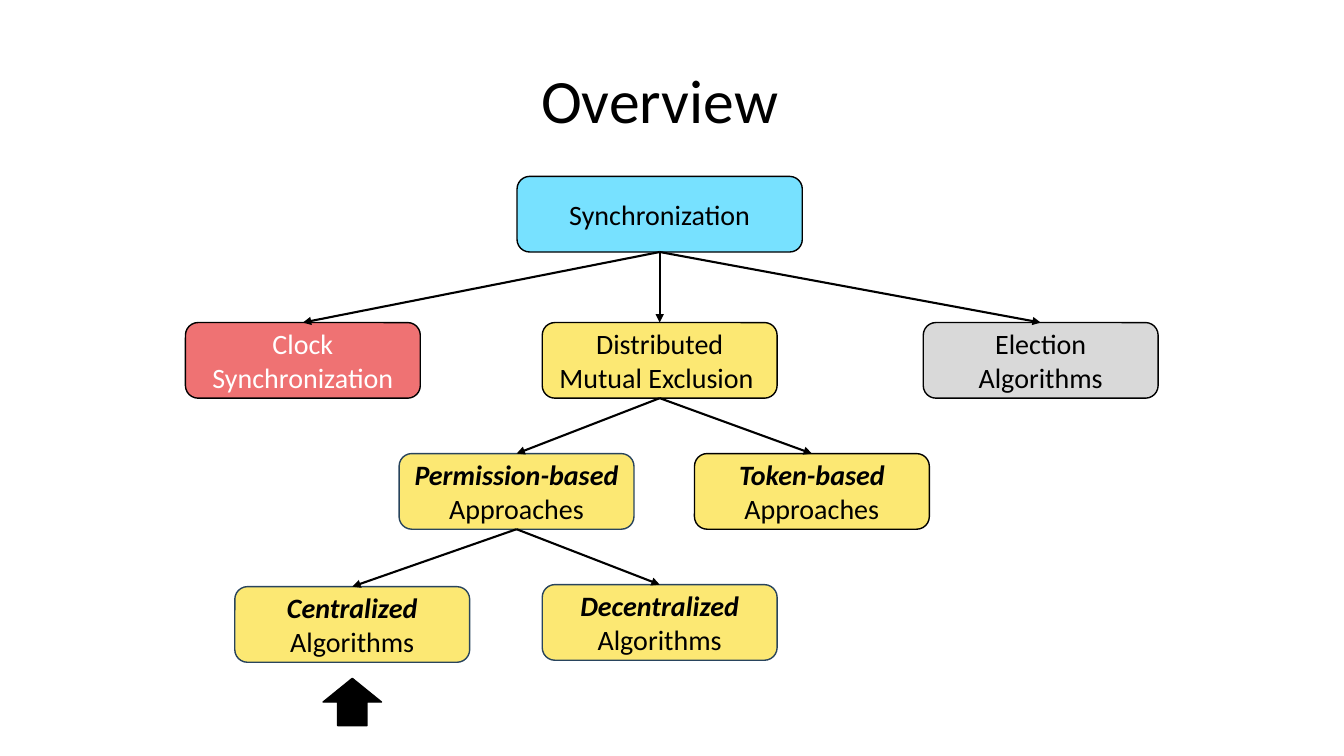
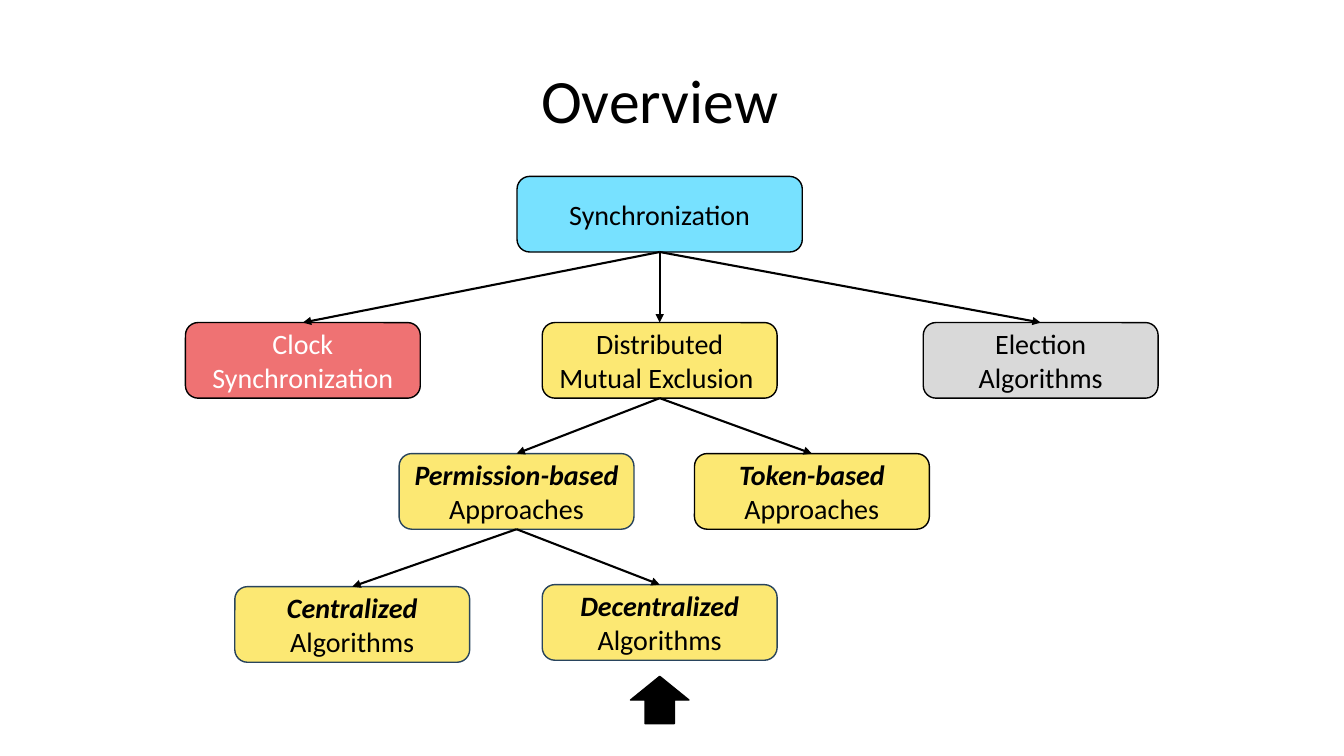
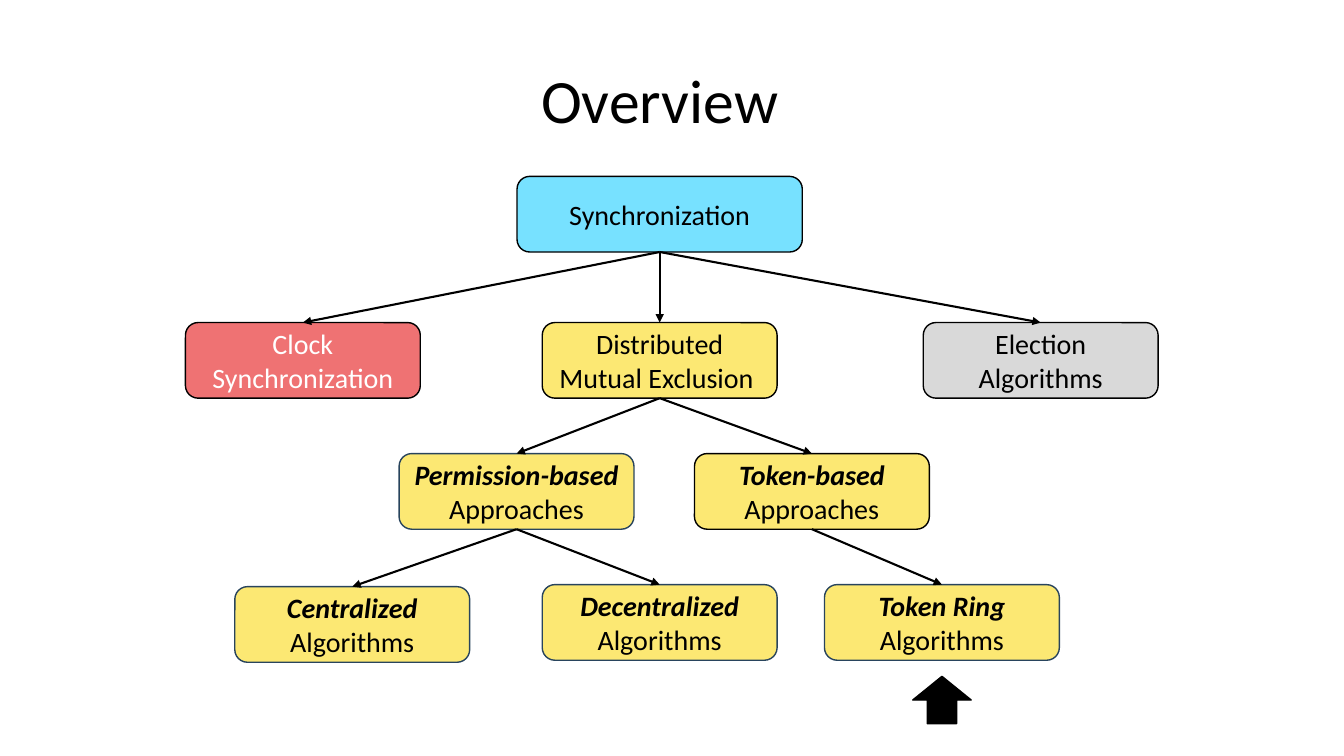
from lxml.etree import SubElement
from pptx import Presentation
from pptx.dml.color import RGBColor
from pptx.enum.shapes import MSO_CONNECTOR, MSO_SHAPE
from pptx.enum.text import MSO_ANCHOR, PP_ALIGN
from pptx.oxml.ns import qn
from pptx.util import Emu, Pt

PX = 9144  # 100 px to the inch
FONT = "Calibri"
BLACK = RGBColor(0x00, 0x00, 0x00)
WHITE = RGBColor(0xFF, 0xFF, 0xFF)
SLATE = RGBColor(0x28, 0x44, 0x5D)
CYAN = RGBColor(0x77, 0xE1, 0xFF)
RED = RGBColor(0xEF, 0x72, 0x73)
YELLOW = RGBColor(0xFC, 0xE8, 0x73)
GREY = RGBColor(0xD9, 0xD9, 0xD9)

TITLE = "Overview"
TITLE_AREA = (192, 30, 925, 145)
ROOT_WIDTH, TOPIC_WIDTH, TOPIC_HEIGHT = 283, 233, 75
MARKER_WIDTH, MARKER_HEIGHT, MARKER_GAP = 58, 47, 16

# topic: (parent, emphasised words, plain words, left, top, fill, outline, text colour)
TOPICS = {
    "root": (None, "", "Synchronization", 513, 175, CYAN, BLACK, BLACK),
    "clock": ("root", "", "Clock Synchronization", 184, 320, RED, BLACK, WHITE),
    "exclusion": ("root", "", "Distributed Mutual Exclusion ", 538, 320, YELLOW, BLACK, BLACK),
    "election": ("root", "", "Election Algorithms", 916, 320, GREY, BLACK, BLACK),
    "permission": ("exclusion", "Permission-based", " Approaches", 396, 450, YELLOW, SLATE, BLACK),
    "token": ("exclusion", "Token-based ", "Approaches", 689, 450, YELLOW, BLACK, BLACK),
    "centralized": ("permission", "Centralized", " Algorithms", 233, 582, YELLOW, SLATE, BLACK),
    "decentralized": ("permission", "Decentralized", " Algorithms", 538, 580, YELLOW, SLATE, BLACK),
    "ring": ("token", "Token Ring ", "Algorithms", 818, 580, YELLOW, SLATE, BLACK),
}
FIRST_TOPICS = [topic for topic in TOPICS if topic != "ring"]
# topics shown on each slide, and the one the marker points at
SLIDES = [
    (FIRST_TOPICS, "centralized"),
    (FIRST_TOPICS, "decentralized"),
    (list(TOPICS), "ring"),
]


def px(*lengths):
    return [Emu(round(length * PX)) for length in lengths]


def style_paragraph(paragraph, size, color):
    paragraph.alignment = PP_ALIGN.CENTER
    paragraph.font.name = FONT
    paragraph.font.size = Pt(size)
    paragraph.font.color.rgb = color


def add_title(slide):
    frame = slide.shapes.add_textbox(*px(*TITLE_AREA)).text_frame
    frame.word_wrap = True
    frame.vertical_anchor = MSO_ANCHOR.MIDDLE
    heading = frame.paragraphs[0]
    heading.text = TITLE
    heading.line_spacing = 0.9
    style_paragraph(heading, 44, BLACK)


def add_filled(slide, preset, area, fill, outline):
    shape = slide.shapes.add_shape(preset, *area)
    shape.shadow.inherit = False
    shape.fill.solid()
    shape.fill.fore_color.rgb = fill
    shape.line.color.rgb = outline
    shape.line.width = Pt(1)
    return shape


def add_topic(slide, topic):
    parent, emphasis, plain, left, top, fill, outline, color = TOPICS[topic]
    width = TOPIC_WIDTH if parent else ROOT_WIDTH
    box = add_filled(slide, MSO_SHAPE.ROUNDED_RECTANGLE,
                     px(left, top, width, TOPIC_HEIGHT), fill, outline)
    frame = box.text_frame
    frame.word_wrap = True
    frame.vertical_anchor = MSO_ANCHOR.MIDDLE
    label = frame.paragraphs[0]
    style_paragraph(label, 20, color)
    if emphasis:
        strong = label.add_run()
        strong.text = emphasis
        strong.font.bold = strong.font.italic = True
    label.add_run().text = plain
    return box


def add_branch(slide, parent, child):
    """Draw an arrow from the bottom of the parent to the top of the child."""
    branch = slide.shapes.add_connector(MSO_CONNECTOR.STRAIGHT, 0, 0, 0, 0)
    branch.begin_connect(parent, 2)
    branch.end_connect(child, 0)
    branch.line.color.rgb = BLACK
    branch.line.width = Pt(1.5)
    SubElement(branch.line._get_or_add_ln(), qn("a:tailEnd"), type="triangle")
    SubElement(branch._element.spPr, qn("a:effectLst"))


def add_marker(slide, box):
    """Place an up arrow centred below the current topic."""
    width, height, gap = px(MARKER_WIDTH, MARKER_HEIGHT, MARKER_GAP)
    left = box.left + (box.width - width) // 2
    top = box.top + box.height + gap
    add_filled(slide, MSO_SHAPE.UP_ARROW, (left, top, width, height), BLACK, BLACK)


def main():
    deck = Presentation()
    deck.slide_width, deck.slide_height = px(1333.33, 750)
    for topics, current in SLIDES:
        slide = deck.slides.add_slide(deck.slide_layouts[6])
        add_title(slide)
        boxes = {topic: add_topic(slide, topic) for topic in topics}
        for topic in topics:
            parent = TOPICS[topic][0]
            if parent:
                add_branch(slide, boxes[parent], boxes[topic])
        add_marker(slide, boxes[current])
    deck.save("out.pptx")


if __name__ == "__main__":
    main()
